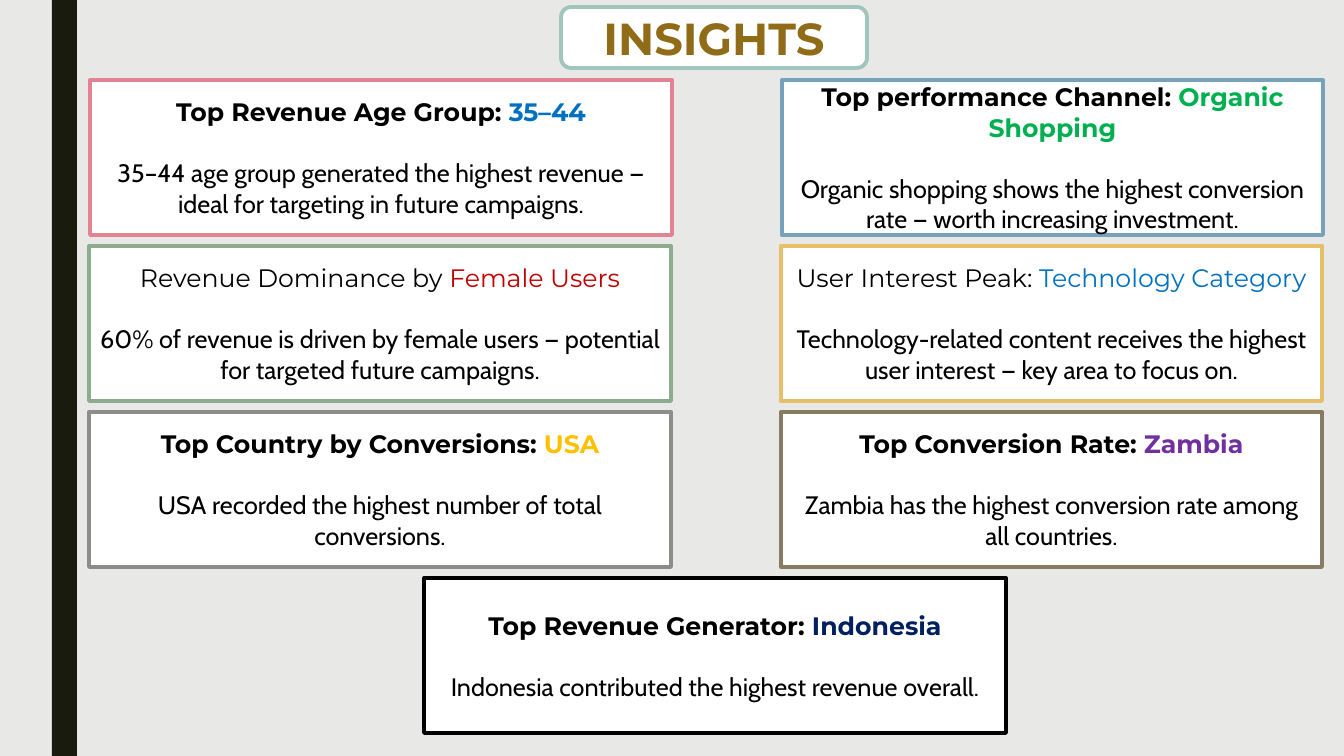
from pptx import Presentation
from pptx.dml.color import RGBColor
from pptx.enum.shapes import MSO_SHAPE
from pptx.enum.text import MSO_ANCHOR, PP_ALIGN
from pptx.util import Emu, Pt

PX = 12192000 / 1344  # EMU per px


def rgb(color):
    return RGBColor.from_string(color)


def add_box(kind, x, y, w, h, fill, line=None):
    """Add a filled shape, outlined if line is given, with centred text."""
    s = slide.shapes.add_shape(kind, *(Emu(round(v * PX)) for v in (x, y, w, h)))
    s.shadow.inherit = False
    s.fill.solid()
    s.fill.fore_color.rgb = rgb(fill)
    if line:
        s.line.color.rgb = rgb(line)
        s.line.width = Pt(2.75)
    else:
        s.line.fill.background()
    tf = s.text_frame
    tf.word_wrap = True
    tf.vertical_anchor = MSO_ANCHOR.MIDDLE
    tf.paragraphs[0].alignment = PP_ALIGN.CENTER
    return tf


prs = Presentation()
prs.slide_width = Emu(round(1344 * PX))
prs.slide_height = Emu(round(756 * PX))
slide = prs.slides.add_slide(prs.slide_layouts[6])
slide.background.fill.solid()
slide.background.fill.fore_color.rgb = rgb("E8E8E7")

add_box(MSO_SHAPE.RECTANGLE, 52, 0, 25, 756, "191B0E")

title = add_box(MSO_SHAPE.ROUNDED_RECTANGLE, 561, 7, 306, 61, "FFFFFF", "A1C5BD")
p = title.paragraphs[0]
p.text = "INSIGHTS"
p.font.name = "Montserrat"
p.font.size = Pt(32)
p.font.bold = True
p.font.color.rgb = rgb("906B18")

TOP, ROW_STEP, CARD_HEIGHT = 80, 166, 155
WIDE, NARROW = 582, 541

# row, left, width, outline, label, answer, answer colour, bold heading, body
cards = [
    (0, 90, WIDE, "E28394", "Top Revenue Age Group: ", "35–44", "0070C0", True,
     "35–44 age group generated the highest revenue — ideal for targeting in future campaigns."),
    (0, 782, NARROW, "77A2BB", "Top performance Channel: ", "Organic Shopping", "00B050", True,
     "Organic shopping shows the highest conversion rate — worth increasing investment."),
    (1, 89, WIDE, "8DAB8E", "Revenue Dominance by ", "Female Users", "C00000", False,
     "60% of revenue is driven by female users — potential for targeted future campaigns."),
    (1, 781, NARROW, "E6C069", "User Interest Peak: ", "Technology Category", "0070C0", False,
     "Technology-related content receives the highest user interest — key area to focus on."),
    (2, 89, WIDE, "8C8D86", "Top Country by Conversions: ", "USA", "FFC000", True,
     "USA recorded the highest number of total conversions."),
    (2, 781, NARROW, "897B61", "Top Conversion Rate: ", "Zambia", "7030A0", True,
     "Zambia has the highest conversion rate among all countries."),
    (3, 424, WIDE, "000000", "Top Revenue Generator: ", "Indonesia", "002060", True,
     "Indonesia contributed the highest revenue overall."),
]
for row, left, width, outline, label, answer, color, bold, body in cards:
    tf = add_box(MSO_SHAPE.RECTANGLE, left, TOP + row * ROW_STEP, width, CARD_HEIGHT,
                 "FFFFFF", outline)
    p = tf.paragraphs[0]
    p.font.name = "Montserrat"
    p.font.size = Pt(18)
    p.font.bold = bold
    for text, text_color in ((label, "000000"), (answer, color)):
        r = p.add_run()
        r.text = text
        r.font.color.rgb = rgb(text_color)

    p = tf.add_paragraph()
    p.text = body
    p.alignment = PP_ALIGN.CENTER
    p.space_before = Pt(22)
    p.font.name = "Cabin"
    p.font.size = Pt(18)
    p.font.color.rgb = rgb("000000")

prs.save("out.pptx")
